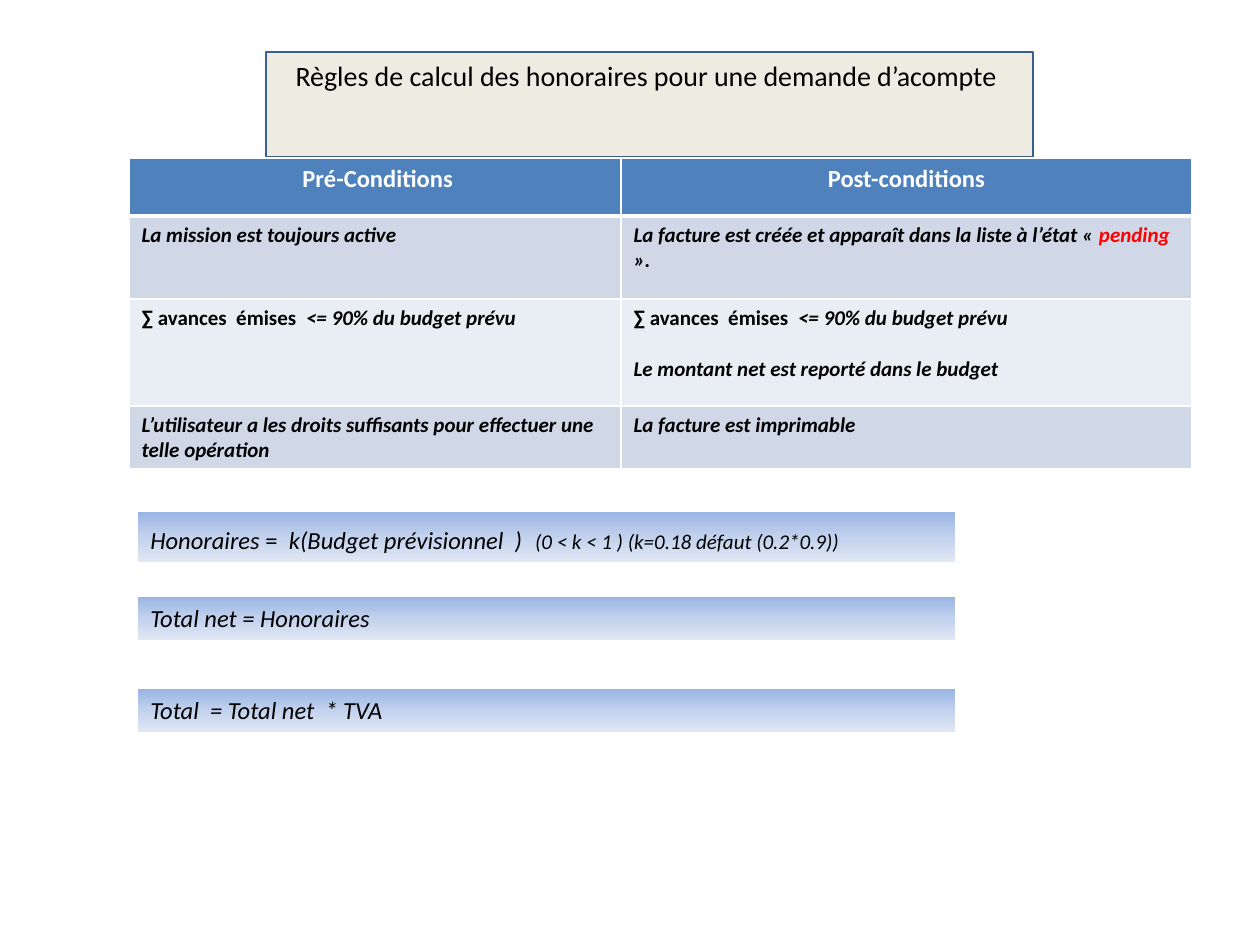
import copy
from dataclasses import dataclass

import pptx
import pptx.dml.color
import pptx.enum.shapes
import pptx.enum.text
import pptx.oxml
import pptx.oxml.ns
import pptx.util

ALIGN = pptx.enum.text.PP_ALIGN
NS = 'xmlns:a="http://schemas.openxmlformats.org/drawingml/2006/main"'


@dataclass(frozen=True)
class Theme:
    font: str = "Calibri"
    black: str = "000000"
    white: str = "FFFFFF"
    red: str = "FF0000"
    head: str = "4F81BD"
    bands: tuple = ("D0D8E8", "E9EDF4")
    cream: str = "EEECE1"
    edge: str = "3A5F8C"
    fade: tuple = ("9AB5E4", "C2D1ED", "E1E8F5")
    title: int = 16
    large: int = 14
    small: int = 12
    gap: int = 18


THEME = Theme()


def px(count):
    return pptx.util.Emu(round(count * 914400 / 126))


def rgb(code):
    return pptx.dml.color.RGBColor.from_string(code)


def write(para, text, size=THEME.small, color=THEME.black, bold=False, italic=False):
    run = para.add_run()
    run.text = text
    font = run.font
    font.name, font.size = THEME.font, pptx.util.Pt(size)
    font.bold, font.italic = bold, italic
    font.color.rgb = rgb(color)


class Deck:
    def __init__(self, theme):
        self.theme = theme
        self.file = pptx.Presentation()
        self.file.slide_width, self.file.slide_height = px(1260), px(945)
        self.slide = self.file.slides.add_slide(self.file.slide_layouts[5])

    def title(self, text, left, top, width, height):
        box = self.slide.shapes.title
        box.left, box.top, box.width, box.height = map(px, (left, top, width, height))
        box.fill.solid()
        box.fill.fore_color.rgb = rgb(self.theme.cream)
        box.line.color.rgb = rgb(self.theme.edge)
        box.line.width = pptx.util.Pt(0.75)
        self.frame(box)
        para = box.text_frame.paragraphs[0]
        para.alignment = ALIGN.CENTER
        write(para, text, size=self.theme.title)

    def frame(self, box):
        text = box.text_frame
        text.word_wrap = True
        text.auto_size = pptx.enum.text.MSO_AUTO_SIZE.SHAPE_TO_FIT_TEXT
        text.vertical_anchor = pptx.enum.text.MSO_ANCHOR.TOP

    def band(self, runs, left, top, width, height):
        box = self.slide.shapes.add_shape(
            pptx.enum.shapes.MSO_SHAPE.RECTANGLE, *map(px, (left, top, width, height)))
        box.shadow.inherit = False
        box.line.fill.background()
        box.fill.gradient()
        box.fill.gradient_angle = 270
        stops = box._element.find(".//" + pptx.oxml.ns.qn("a:gsLst"))
        stops.insert(1, copy.deepcopy(stops[0]))
        for i, stop in enumerate(box.fill.gradient_stops):
            stop.position = i / 2
            stop.color.rgb = rgb(self.theme.fade[i])
        self.frame(box)
        para = box.text_frame.paragraphs[0]
        para.alignment = ALIGN.LEFT
        for text, style in runs:
            write(para, text, **{"size": self.theme.large, "italic": True, **style})

    def border(self, cell, top, bottom):
        props = cell._tc.get_or_add_tcPr()
        for i, (side, width) in enumerate(zip("LRTB", (1, 1, top, bottom))):
            props.insert(i, pptx.oxml.parse_xml(
                f'<a:ln{side} {NS} w="{width * 12700}"><a:solidFill>'
                f'<a:srgbClr val="{self.theme.white}"/></a:solidFill></a:ln{side}>'))

    def table(self, heads, rows, left, top, wide, high):
        grid = self.slide.shapes.add_table(
            len(high), len(wide), *map(px, (left, top, sum(wide), sum(high)))).table
        for col, size in zip(grid.columns, wide):
            col.width = px(size)
        for row, size in zip(grid.rows, high):
            row.height = px(size)
        for c, text in enumerate(heads):
            cell = grid.cell(0, c)
            self.paint(cell, self.theme.head, 1, 3)
            para = cell.text_frame.paragraphs[0]
            para.alignment = ALIGN.CENTER
            write(para, text, size=self.theme.large, color=self.theme.white, bold=True)
        for r, row in enumerate(rows):
            for c, paras in enumerate(row):
                cell = grid.cell(r + 1, c)
                self.paint(cell, self.theme.bands[r % 2], 1 if r else 3, 1)
                self.body(cell.text_frame, paras)

    def paint(self, cell, color, top, bottom):
        cell.fill.solid()
        cell.fill.fore_color.rgb = rgb(color)
        self.border(cell, top, bottom)

    def body(self, frame, paras):
        for i, runs in enumerate(paras):
            para = frame.add_paragraph() if i else frame.paragraphs[0]
            if i:
                para.space_before = pptx.util.Pt(14.6)
            for text, style in runs:
                write(para, text, **{"bold": True, "italic": True, **style})


def main():
    deck = Deck(THEME)
    deck.title("Règles de calcul des honoraires pour une demande d’acompte ",
               266, 52, 767, 47)
    limit = [("∑ avances  émises", {"italic": False}),
             ("  <= 90% du budget prévu", {})]
    rows = [
        ([[("La mission est toujours active", {})]],
         [[("La facture est créée et apparaît dans la liste à l’état « ", {}),
           ("pending", {"color": THEME.red}), (" ».", {})]]),
        ([limit],
         [limit, [("Le montant net est reporté dans le budget", {})]]),
        ([[("L’utilisateur a les droits suffisants pour effectuer une telle opération", {})]],
         [[("La facture est imprimable", {})]]),
    ]
    deck.table((" Pré-Conditions", "Post-conditions"), rows,
               129, 158, (492, 571), (58, 83, 107, 60))
    bands = [
        (512, 50, [("Honoraires", {}), (" =  ", {"italic": False}),
                   ("k(Budget prévisionnel  ) ", {}), (" ", {"size": THEME.gap}),
                   ("(0 < k < 1 ) (k=0.18 défaut (0.2*0.9))", {"size": THEME.small})]),
        (597, 43, [("Total net = Honoraires", {})]),
        (689, 43, [("Total  = Total net  * TVA", {})]),
    ]
    for top, height, runs in bands:
        deck.band(runs, 138, top, 817, height)
    deck.file.save("out.pptx")


if __name__ == "__main__":
    main()
